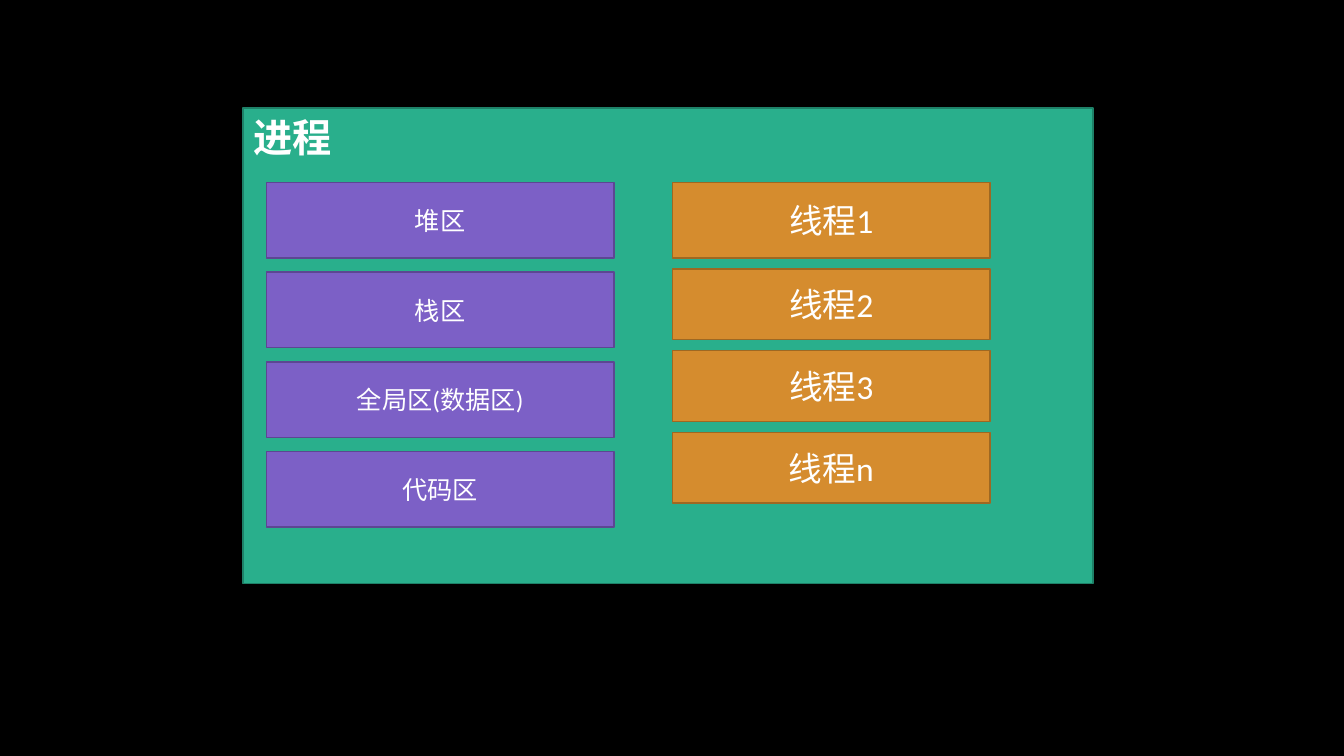
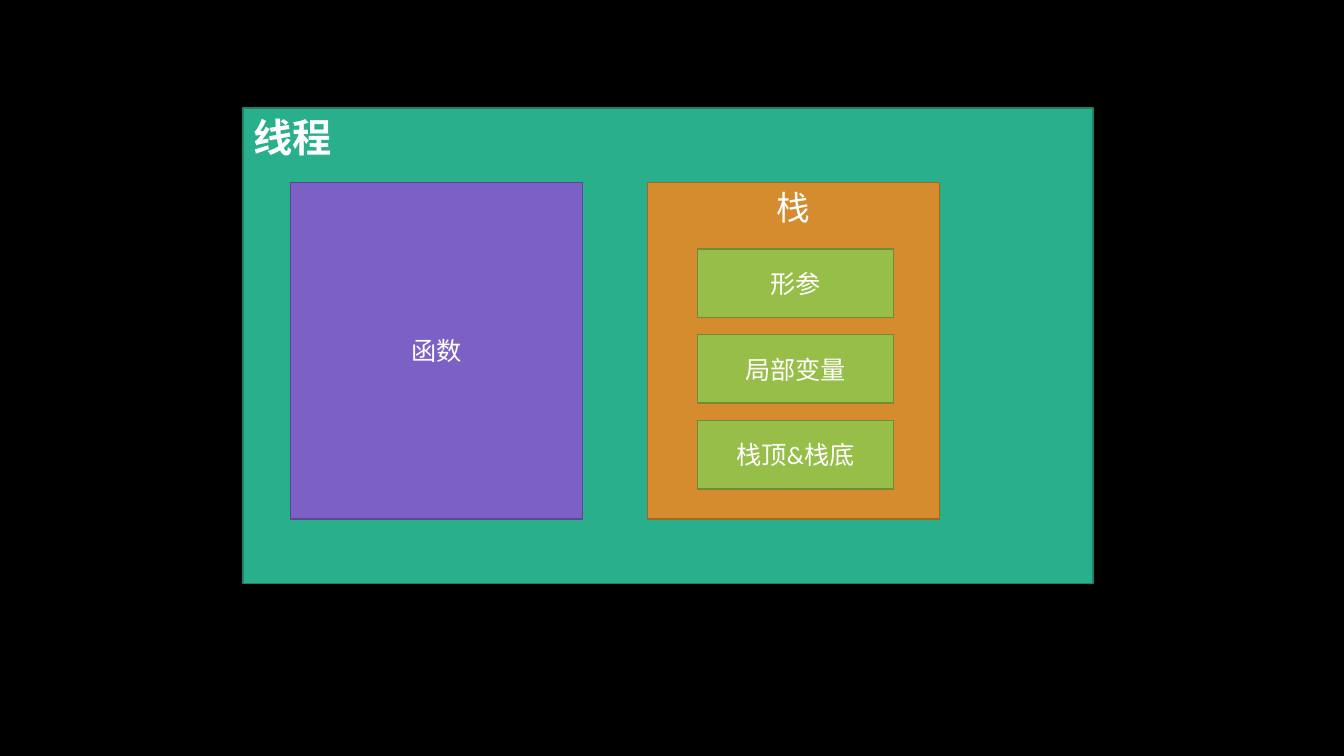
"""Build two slides on how a process and a thread are laid out in memory."""
import dataclasses

import pptx
import pptx.dml.color
import pptx.enum.shapes
import pptx.enum.text
import pptx.oxml
import pptx.util

ALIGN = pptx.enum.text.PP_ALIGN
ANCHOR = pptx.enum.text.MSO_ANCHOR
INCH = pptx.util.Inches


@dataclasses.dataclass(frozen=True)
class Theme:
    backdrop: str = "000000"
    ink: str = "FFFFFF"
    panel: tuple = ("29AF8C", "1E8168")
    memory: tuple = ("7C60C6", "5C4792")
    thread: tuple = ("D58C2E", "9E6822")
    variable: tuple = ("97BE49", "708D36")
    latin: str = "Calibri"
    chinese: str = "Noto Sans CJK SC"
    title_size: int = 28
    large: int = 24
    small: int = 18


THEME = Theme()
SLIDE_SIZE = (13.33, 7.5)
PANEL = (2.41, 1.07, 8.43, 4.72)
TOP = 1.81

SLIDES = [
    {
        "title": "进程",
        "columns": [
            dict(labels=["堆区", "栈区", "全局区(数据区)", "代码区"], left=2.64, width=3.45,
                 heights=[0.75] * 4, gap=0.14, colours=THEME.memory, size=THEME.small),
            dict(labels=["线程1", "线程2", "线程3", "线程n"], left=6.67, width=3.15,
                 heights=[0.75] + [0.7] * 3, gap=0.11, colours=THEME.thread, size=THEME.large),
        ],
    },
    {
        "title": "线程",
        "columns": [
            dict(labels=["函数"], left=2.88, width=2.9, heights=[3.34],
                 colours=THEME.memory, size=THEME.small),
            dict(labels=["栈"], left=6.42, width=2.9, heights=[3.34],
                 colours=THEME.thread, size=THEME.large, anchor=ANCHOR.TOP),
            dict(labels=["形参", "局部变量", "栈顶&栈底"], left=6.92, width=1.94, top=2.47,
                 heights=[0.68] * 3, gap=0.17, colours=THEME.variable, size=THEME.small),
        ],
    },
]


def rgb(value):
    return pptx.dml.color.RGBColor.from_string(value)


def paint(box, colours):
    fill, edge = colours
    box.fill.solid()
    box.fill.fore_color.rgb = rgb(fill)
    box.line.color.rgb = rgb(edge)
    box.line.width = pptx.util.Pt(1)


def write(box, text, size, font=THEME.latin, bold=False, align=ALIGN.CENTER,
          anchor=ANCHOR.MIDDLE):
    frame = box.text_frame
    frame.word_wrap = True
    frame.auto_size = pptx.enum.text.MSO_AUTO_SIZE.NONE
    frame.vertical_anchor = anchor
    paragraph = frame.paragraphs[0]
    paragraph.alignment = align
    run = paragraph.add_run()
    run.text = text
    run.font.size = pptx.util.Pt(size)
    run.font.name = font
    run.font.bold = bold
    run.font.color.rgb = rgb(THEME.ink)
    east_asian = pptx.oxml.ns.qn("a:ea")
    run.font._element.find(pptx.oxml.ns.qn("a:latin")).addnext(
        run.font._element.makeelement(east_asian, {"typeface": THEME.chinese}))


def add_panel(slide, title):
    panel = slide.shapes.title
    panel.left, panel.top, panel.width, panel.height = map(INCH, PANEL)
    paint(panel, THEME.panel)
    write(panel, title, THEME.title_size, font=THEME.chinese, bold=True,
          align=ALIGN.LEFT, anchor=ANCHOR.TOP)


def add_column(slide, labels, left, width, heights, colours, size, top=TOP, gap=0,
               anchor=ANCHOR.MIDDLE):
    for label, height in zip(labels, heights):
        block = slide.shapes.add_shape(pptx.enum.shapes.MSO_SHAPE.RECTANGLE,
                                       *map(INCH, (left, top, width, height)))
        block.shadow.inherit = False
        paint(block, colours)
        write(block, label, size, anchor=anchor)
        top += height + gap


def main():
    deck = pptx.Presentation()
    deck.slide_width, deck.slide_height = map(INCH, SLIDE_SIZE)
    backdrop = deck.slide_master.background.fill
    backdrop.solid()
    backdrop.fore_color.rgb = rgb(THEME.backdrop)
    title_only = deck.slide_layouts.get_by_name("Title Only")
    for content in SLIDES:
        slide = deck.slides.add_slide(title_only)
        add_panel(slide, content["title"])
        for column in content["columns"]:
            add_column(slide, **column)
    deck.save("out.pptx")


main()
